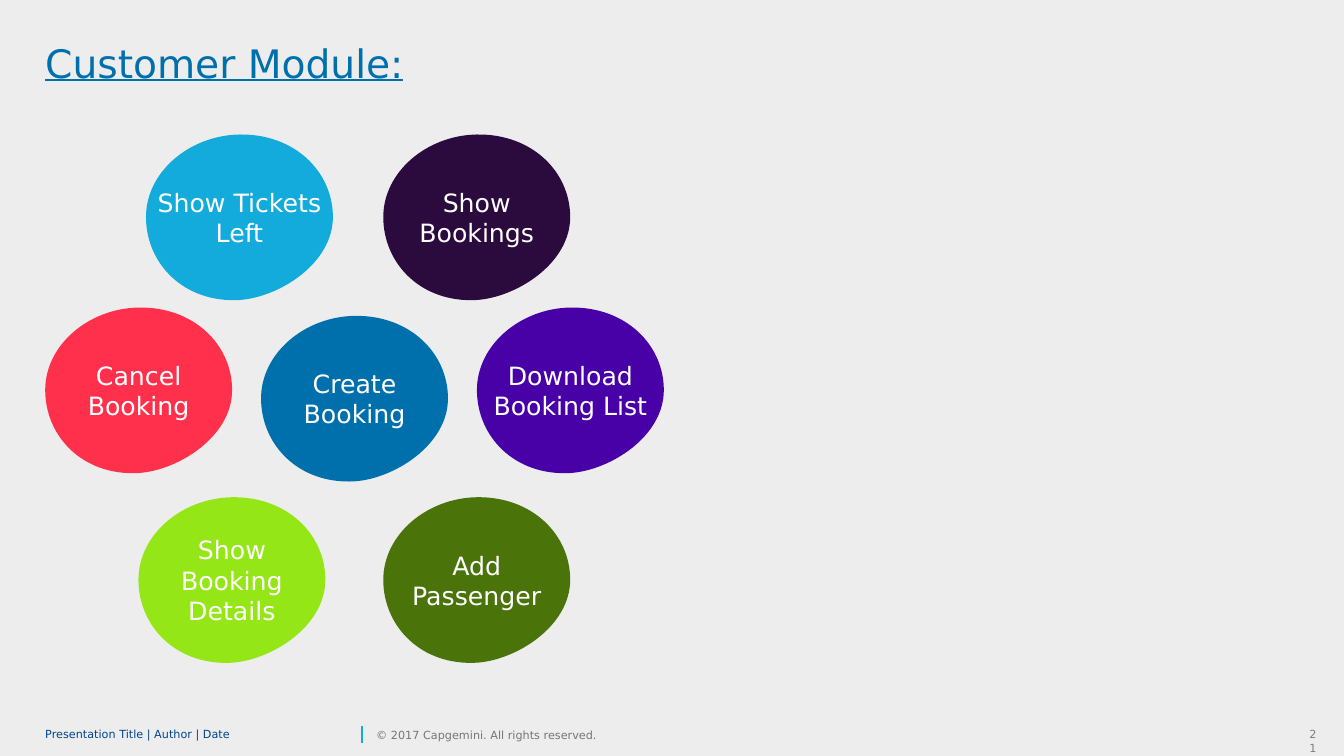
from lxml.etree import SubElement
from pptx import Presentation
from pptx.dml.color import RGBColor
from pptx.enum.shapes import MSO_CONNECTOR, MSO_SHAPE
from pptx.enum.text import MSO_ANCHOR as Anchor, PP_ALIGN as Align
from pptx.oxml.ns import qn
from pptx.util import Cm, Pt

FONT = "DejaVu Sans"
LEFT_MARGIN = 1.14
PEBBLE_WIDTH, PEBBLE_HEIGHT = 471, 418  # hundredths of a cm


def color(hex_string):
    return RGBColor.from_string(hex_string)


def format_paragraph(paragraph, size, hex_string, alignment=Align.LEFT):
    paragraph.alignment = alignment
    paragraph.font.name = FONT
    paragraph.font.size = Pt(size)
    paragraph.font.color.rgb = color(hex_string)


presentation = Presentation()
presentation.slide_width = Cm(33.87)
presentation.slide_height = Cm(19.05)
slide = presentation.slides.add_slide(presentation.slide_layouts[5])

backdrop = slide.shapes.add_shape(
    MSO_SHAPE.RECTANGLE, 0, 0, presentation.slide_width, presentation.slide_height)
backdrop.shadow.inherit = False
backdrop.fill.solid()
backdrop.fill.fore_color.rgb = color("EDEDED")
backdrop.line.fill.background()
slide.shapes._spTree.insert(2, backdrop._element)  # behind the title

# Title
title = slide.shapes.title
title.left, title.top, title.width, title.height = Cm(LEFT_MARGIN), Cm(1.12), Cm(19.4), Cm(2.39)
title_frame = title.text_frame
title_frame.text = "Customer Module:"
title_frame.vertical_anchor = Anchor.TOP
title_frame.margin_left = title_frame.margin_top = 0
title_frame.margin_right = title_frame.margin_bottom = 0
title_paragraph = title_frame.paragraphs[0]
format_paragraph(title_paragraph, 28, "0070AD")
title_paragraph.line_spacing = 0.9
title_paragraph.font.underline = True

# Pebble outline: one start point and four Bezier curves, in hundredths of a cm
pebble_outline = [
    ("a:moveTo", [(0, 208)]),
    ("a:cubicBezTo", [(0, 94), (110, 2), (236, 0)]),
    ("a:cubicBezTo", [(375, -2), (471, 94), (471, 208)]),
    ("a:cubicBezTo", [(471, 325), (336, 410), (236, 417)]),
    ("a:cubicBezTo", [(95, 425), (0, 325), (0, 208)]),
    ("a:close", []),
]

# Customer functions
functions = [
    ("Show Booking Details", 3.49, 12.53, "95E616"),
    ("Cancel Booking", LEFT_MARGIN, 7.75, "FF304C"),
    ("Show Tickets Left", 3.68, 3.39, "12ABDB"),
    ("Create Booking", 6.58, 7.96, "0070AD"),
    ("Show Bookings", 9.66, 3.39, "2B0A3D"),
    ("Download Booking List", 12.02, 7.75, "4701A7"),
    ("Add Passenger", 9.66, 12.53, "4A730A"),
]
for label, left, top, fill in functions:
    x, y = round(left * 100), round(top * 100)
    builder = slide.shapes.build_freeform(x, y, scale=Cm(0.01))
    builder.add_line_segments([
        (x + PEBBLE_WIDTH, y),
        (x + PEBBLE_WIDTH, y + PEBBLE_HEIGHT),
        (x, y + PEBBLE_HEIGHT),
    ])
    pebble = builder.convert_to_shape()
    # Swap the straight sides of the frame for the curves
    outline = next(pebble._element.iter(qn("a:path")))
    for side in list(outline):
        outline.remove(side)
    for command, points in pebble_outline:
        segment = SubElement(outline, qn(command))
        for point_x, point_y in points:
            SubElement(segment, qn("a:pt"), x=str(point_x), y=str(point_y))
    pebble.shadow.inherit = False
    pebble.fill.solid()
    pebble.fill.fore_color.rgb = color(fill)
    pebble.line.fill.background()
    pebble.text_frame.text = label
    pebble.text_frame.word_wrap = True
    pebble.text_frame.vertical_anchor = Anchor.MIDDLE
    format_paragraph(pebble.text_frame.paragraphs[0], 18, "FFFFFF", Align.CENTER)

# Footer
divider = slide.shapes.add_connector(
    MSO_CONNECTOR.STRAIGHT, Cm(9.12), Cm(18.72), Cm(9.12), Cm(18.29))
divider.line.color.rgb = color("12ABDB")
divider.line.width = Pt(1)
SubElement(divider._element.spPr, qn("a:effectLst"))

footer_texts = [
    ("Presentation Title | Author | Date", LEFT_MARGIN, 7.85, "00458D", 0.85),
    ("© 2017 Capgemini. All rights reserved.", 9.48, 6.17, "767676", 1.0),
]
for text, left, width, font_color, line_spacing in footer_texts:
    footer = slide.shapes.add_textbox(Cm(left), Cm(18.21), Cm(width), Cm(0.61))
    frame = footer.text_frame
    frame.text = text
    frame.word_wrap = True
    frame.vertical_anchor = Anchor.MIDDLE
    frame.margin_left = frame.margin_top = frame.margin_right = frame.margin_bottom = 0
    format_paragraph(frame.paragraphs[0], 8, font_color)
    frame.paragraphs[0].line_spacing = line_spacing

slide_number = slide.shapes.add_textbox(Cm(32.74), Cm(18.21), Cm(0.69), Cm(0.61))
slide_number.text_frame.text = "21"
slide_number.text_frame.word_wrap = True
format_paragraph(slide_number.text_frame.paragraphs[0], 8, "7F7F7F", Align.RIGHT)

presentation.save("out.pptx")
